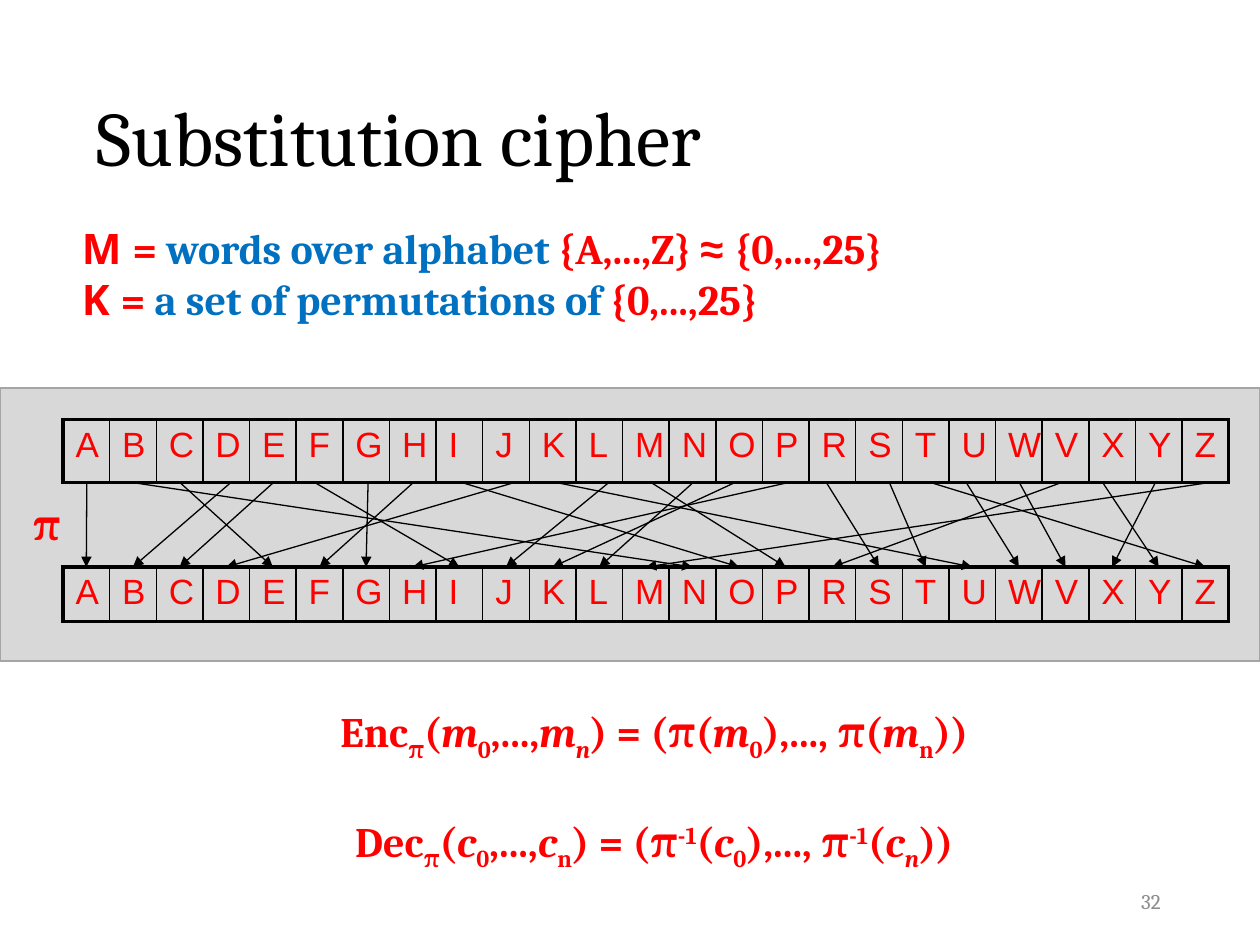
"""Build the substitution cipher slide."""
from dataclasses import dataclass
from typing import Optional, Sequence

from lxml import etree
from pptx import Presentation
from pptx import util as u
from pptx.dml.color import RGBColor
from pptx.enum import shapes, text
from pptx.oxml import ns


@dataclass(frozen=True)
class Theme:
    black: str = "000000"
    red: str = "FF0000"
    blue: str = "0070C0"
    grey: str = "8C8C8C"
    panel: str = "D8D8D8"
    edge: str = "A5A5A5"
    serif: str = "Cambria"
    sans: str = "Arial"
    script: str = "Open Sans"
    title: int = 44
    body: int = 24
    letter: int = 20
    number: int = 12
    thick: float = 2.25
    thin: float = 1
    arrow: float = 0.75


@dataclass(frozen=True)
class Run:
    text: str
    color: Optional[str] = None
    font: Optional[str] = None
    italic: bool = False
    base: int = 0


@dataclass(frozen=True)
class Box:
    left: float
    top: float
    width: float
    height: float

    def emu(self) -> list:
        return [u.Cm(v) for v in (self.left, self.top, self.width, self.height)]


@dataclass(frozen=True)
class Arrow:
    start: float
    target: str


T = Theme()
ALPHABET = "ABCDEFGHIJKLMNOPRSTUWVXYZ"
GRID_LEFT, CELL = 1.27, 0.94
GRID_WIDTH = CELL * len(ALPHABET)
PLAIN = Box(GRID_LEFT, 8.46, GRID_WIDTH, 1.27)
CIPHER = Box(GRID_LEFT, 11.43, GRID_WIDTH, 1.07)
STARTS = (1.75, 2.69, 3.63, 4.65, 5.51, 6.35, 7.42, 8.33, 9.32, 10.36, 11.23, 12.27, 13.13,
          13.97, 14.81, 15.88, 16.66, 17.93, 18.77, 19.48, 20.55, 21.39, 22.23, 23.29, 24.36)
ARROWS = [Arrow(x, c) for x, c in zip(STARTS, "ANEBCIGFODUJPLKHSTZWVRYXM")]


def sub(value: str, italic: bool = False) -> Run:
    """Return a subscript run."""
    return Run(value, italic=italic, base=-25)


def var(name: str) -> Run:
    """Return an italic variable."""
    return Run(name, italic=True)


INTRO = [
    [Run("M ", T.red, T.script), Run("= ", T.red), Run("words over alphabet ", T.blue),
     Run("{A,...,Z} ", T.red), Run("≈ ", T.red, T.sans), Run("{0,...,25}", T.red)],
    [Run("K ", T.red, T.script), Run("= ", T.red), Run("a set of permutations of ", T.blue),
     Run("{0,...,25}", T.red)],
]
INVERSE = Run("-1", base=30)
FORMULAS = [
    [Run("Enc"), sub("π"), Run("("), var("m"), sub("0"), Run(",...,"), var("m"), sub("n", True),
     Run(") = (π("), var("m"), sub("0"), Run("),..., π("), var("m"), sub("n"), Run("))")],
    [Run("Dec"), sub("π"), Run("("), var("c"), sub("0"), Run(",...,"), var("c"), sub("n"),
     Run(") = (π"), INVERSE, Run("("), var("c"), sub("0"), Run("),..., π"), INVERSE, Run("("),
     var("c"), sub("n", True), Run("))")],
]


def style(font, size: int, color: str, name: str = T.serif, bold: bool = False) -> None:
    """Set the common font properties."""
    font.size, font.name, font.bold = u.Pt(size), name, bold
    font.color.rgb = RGBColor.from_string(color)


def add_text(s, box: Box, lines: Sequence[Sequence[Run]], size: int, color: str,
             bold: bool = False, align=text.PP_ALIGN.LEFT, anchor=text.MSO_ANCHOR.TOP,
             wrap: bool = True, gap: float = 0, spacing: float = 1) -> None:
    """Add a text box with one paragraph per line."""
    tf = s.shapes.add_textbox(*box.emu()).text_frame
    tf.word_wrap, tf.vertical_anchor = wrap, anchor
    for i, line in enumerate(lines):
        p = tf.add_paragraph() if i else tf.paragraphs[0]
        p.alignment, p.line_spacing = align, spacing
        if i and gap:
            p.space_before = u.Pt(gap)
        style(p.font, size, color, bold=bold)
        for run in line:
            r = p.add_run()
            r.text = run.text
            if run.color:
                r.font.color.rgb = RGBColor.from_string(run.color)
            if run.font:
                r.font.name = run.font
            if run.italic:
                r.font.italic = True
            if run.base:
                r.font._element.set("baseline", str(run.base * 1000))


def set_borders(cell, widths: dict) -> None:
    """Draw the cell's borders, with widths in points by side."""
    tc_pr = cell._tc.get_or_add_tcPr()
    for i, (side, width) in enumerate(widths.items()):
        ln = etree.Element(ns.qn(f"a:ln{side}"), w=str(u.Pt(width)))
        fill = etree.SubElement(ln, ns.qn("a:solidFill"))
        etree.SubElement(fill, ns.qn("a:srgbClr"), val=T.black)
        tc_pr.insert(i, ln)


def add_alphabet(s, box: Box) -> None:
    """Add a one-row table of letters."""
    last = len(ALPHABET) - 1
    table = s.shapes.add_table(1, last + 1, *box.emu()).table
    table.first_row = table.horz_banding = False
    table.rows[0].height = u.Cm(box.height)
    for i, letter in enumerate(ALPHABET):
        table.columns[i].width = u.Cm(CELL)
        cell = table.cell(0, i)
        cell.fill.background()
        cell.text = letter
        style(cell.text_frame.paragraphs[0].font, T.letter, T.red, T.sans)
        set_borders(cell, {"L": T.thin if i else T.thick, "R": T.thin if i < last else T.thick,
                           "T": T.thick, "B": T.thick})


def add_arrow(s, arrow: Arrow) -> None:
    """Join a plain letter to its cipher letter."""
    end = GRID_LEFT + CELL * (ALPHABET.index(arrow.target) + 0.5)
    sp = s.shapes.add_connector(shapes.MSO_CONNECTOR.STRAIGHT, u.Cm(arrow.start),
                                u.Cm(PLAIN.top + PLAIN.height), u.Cm(end), u.Cm(CIPHER.top))
    sp.line.width = u.Pt(T.arrow)
    sp.line.color.rgb = RGBColor.from_string(T.black)
    etree.SubElement(sp.line._get_or_add_ln(), ns.qn("a:tailEnd"), type="triangle")
    etree.SubElement(sp._element.spPr, ns.qn("a:effectLst"))


def add_panel(s, box: Box) -> None:
    """Add the grey band behind the two alphabets."""
    sp = s.shapes.add_shape(shapes.MSO_SHAPE.RECTANGLE, *box.emu())
    sp.shadow.inherit = False
    sp.fill.solid()
    sp.fill.fore_color.rgb = RGBColor.from_string(T.panel)
    sp.line.color.rgb = RGBColor.from_string(T.edge)
    sp.line.width = u.Pt(0.79)


def main() -> None:
    """Build and save the slide."""
    prs = Presentation()
    prs.slide_width, prs.slide_height = u.Cm(25.4), u.Cm(19.05)
    s = prs.slides.add_slide(prs.slide_layouts[6])
    add_text(s, Box(17.93, 17.65, 5.72, 1.02), [[Run("32")]], T.number, T.grey,
             align=text.PP_ALIGN.RIGHT, anchor=text.MSO_ANCHOR.MIDDLE)
    add_panel(s, Box(0, 7.82, 25.4, 5.51))
    add_text(s, Box(1.7, 1.27, 21.59, 3.18), [[Run("Substitution cipher")]], T.title, T.black,
             anchor=text.MSO_ANCHOR.MIDDLE, spacing=0.9)
    for box in (PLAIN, CIPHER):
        add_alphabet(s, box)
    for arrow in ARROWS:
        add_arrow(s, arrow)
    add_text(s, Box(1.4, 4.37, 19.46, 2.31), INTRO, T.body, T.red, bold=True)
    add_text(s, Box(0.41, 9.93, 1.04, 1.27), [[Run("π")]], T.body, T.red, bold=True, wrap=False)
    add_text(s, Box(5.66, 14.1, 15.06, 3.33), FORMULAS, T.body, T.red, bold=True,
             align=text.PP_ALIGN.CENTER, gap=30)
    prs.save("out.pptx")


if __name__ == "__main__":
    main()
